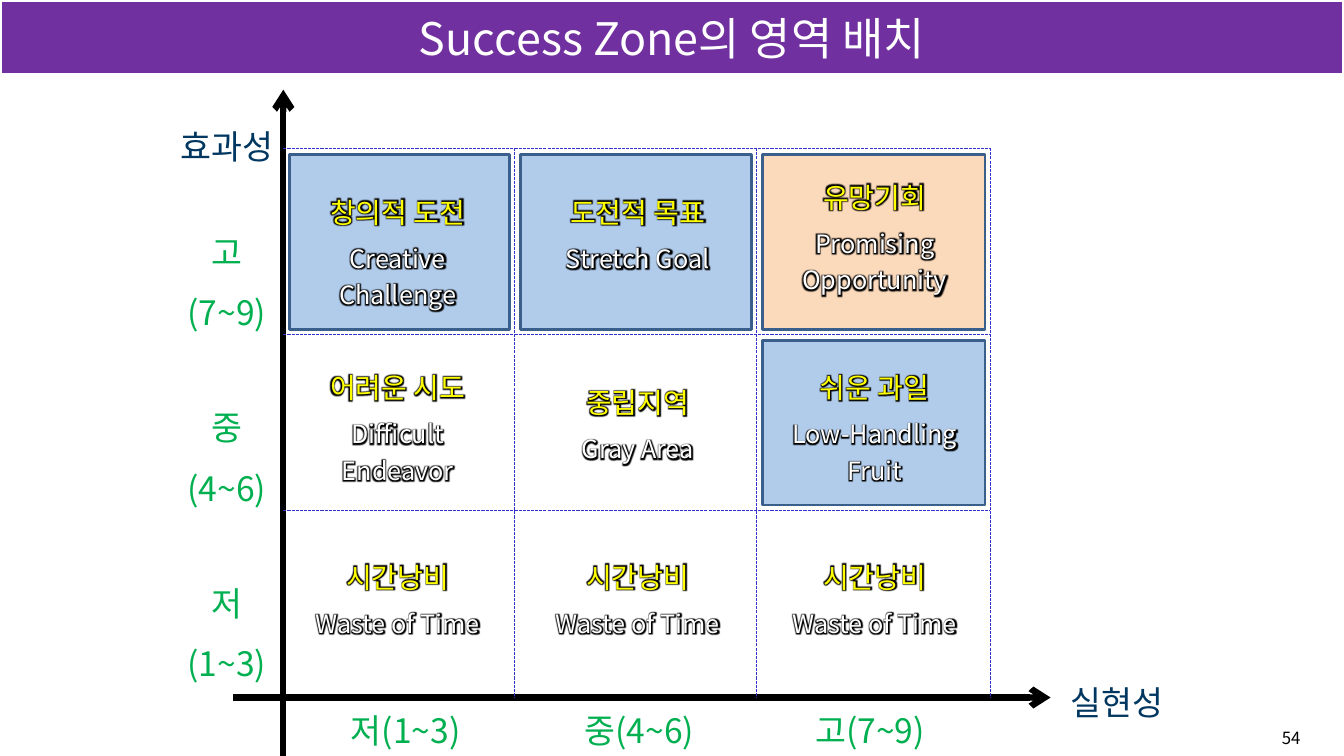
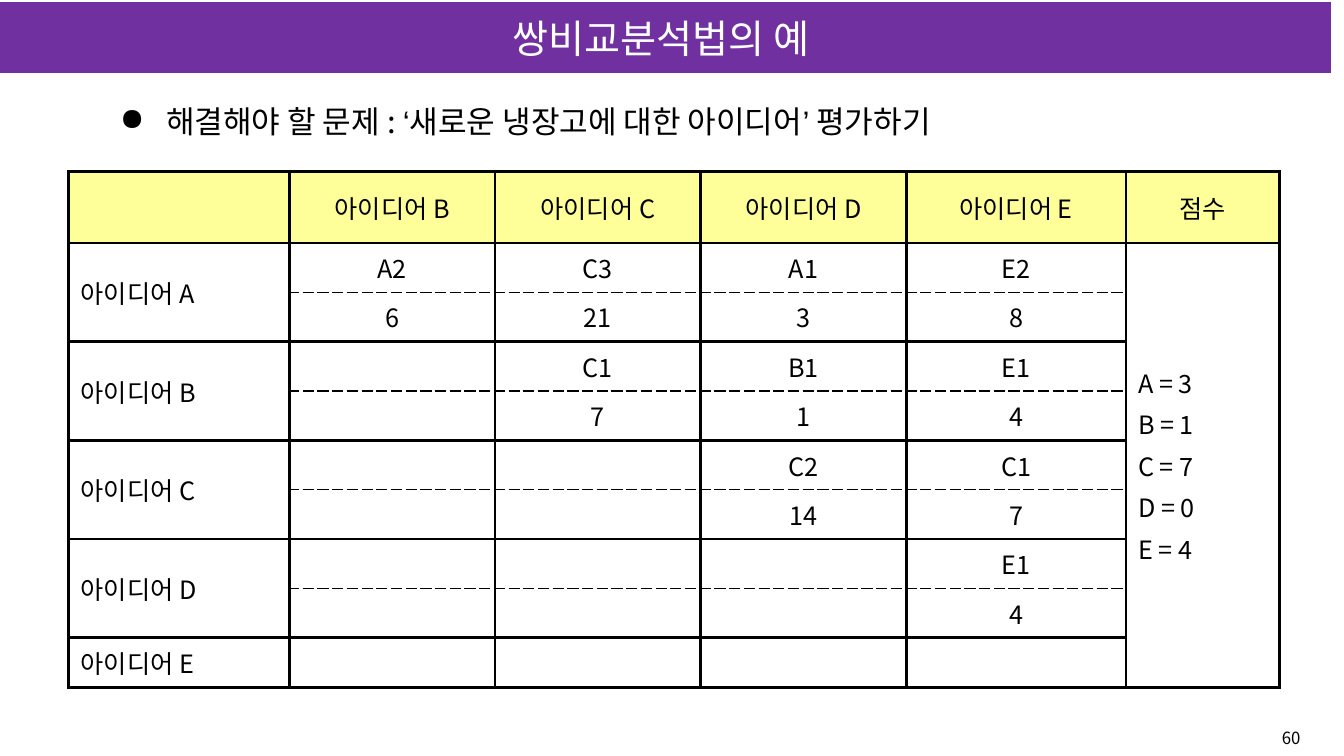
from dataclasses import dataclass
from typing import Any, NamedTuple

import pptx
import pptx.dml.color
import pptx.enum.dml
import pptx.enum.shapes
import pptx.enum.text
import pptx.oxml.ns
import pptx.util
from lxml import etree

SLIDE_WIDTH, SLIDE_HEIGHT = 13.33, 7.5
BODY_FONT = "Noto Sans CJK KR"
BLACK, WHITE, PURPLE, GREEN, NAVY = "000000", "FFFFFF", "7030A0", "00B050", "003760"
YELLOW, BLUE, ORANGE, OUTLINE, GUIDE = "FFFF00", "6598D9", "F9B479", "3A5F8C", "3333CC"
HEADER_FILL = "FFFF99"
ALIGN = pptx.enum.text.PP_ALIGN
MIDDLE = pptx.enum.text.MSO_ANCHOR.MIDDLE
COLUMN_EDGES = (2.81, 5.1, 7.5, 9.82)
ROW_EDGES = (1.47, 3.32, 5.06, 6.92)
LABEL_LEFTS = (2.8, 5.18, 7.53)
CELL_INSET, CELL_GAP = 0.06, 0.11


class Box(NamedTuple):
    left: float
    top: float
    width: float
    height: float


class Point(NamedTuple):
    x: float
    y: float


class TextStyle(NamedTuple):
    size: float
    color: str = BLACK
    font: str = BODY_FONT
    glow: bool = False


@dataclass(frozen=True)
class Zone:
    column: int
    row: int
    text_top: float
    korean: str
    english: str
    fill: str = ""


@dataclass(frozen=True)
class AxisLabel:
    box: Box
    text: str
    color: str = GREEN


ZONES = (
    Zone(0, 0, 1.82, "창의적 도전", "Creative Challenge", BLUE),
    Zone(1, 0, 1.82, "도전적 목표", "Stretch Goal", BLUE),
    Zone(2, 0, 1.67, "유망기회", "Promising\nOpportunity", ORANGE),
    Zone(0, 1, 3.56, "어려운 시도", "Difficult\nEndeavor"),
    Zone(1, 1, 3.71, "중립지역", "Gray Area"),
    Zone(2, 1, 3.56, "쉬운 과일", "Low-Handling\nFruit", BLUE),
    *(Zone(column, 2, 5.44, "시간낭비", "Waste of Time") for column in range(3)),
)
AXIS_LABELS = (
    AxisLabel(Box(1.62, 1, 1.27, 0.71), "효과성", NAVY),
    AxisLabel(Box(9.66, 6.52, 2.83, 0.71), "실현성", NAVY),
    *(AxisLabel(Box(1.71, 2.05 + 1.74 * row, 1.08, 1.31), text)
      for row, text in enumerate(("고\n(7~9)", "중\n(4~6)", "저\n(1~3)"))),
    AxisLabel(Box(2.96, 6.79, 2.13, 0.71), "저(1~3)"),
    AxisLabel(Box(5.15, 6.79, 2.38, 0.71), "중(4~6)"),
    AxisLabel(Box(7.44, 6.79, 2.38, 0.71), "고(7~9)"),
)
TABLE_COLUMNS = (2.19, 2.04, 2.04, 2.04, 2.18, 1.52)
TABLE_ROWS = (0.71,) + (0.49,) * 9
IDEAS = "ABCDE"
SCORES = ("A = 3", "B = 1", "C = 7", "D = 0", "E = 4")
COMPARISONS = {
    "A": (("A2", "6"), ("C3", "21"), ("A1", "3"), ("E2", "8")),
    "B": (("C1", "7"), ("B1", "1"), ("E1", "4")),
    "C": (("C2", "14"), ("C1", "7")),
    "D": (("E1", "4"),),
}


def color_of(value: str) -> Any:
    return pptx.dml.color.RGBColor.from_string(value)


def assign(target: Any, values: dict[str, Any]) -> None:
    for name, value in values.items():
        setattr(target, name, value)


def sub(parent: Any, tag: str, **attributes: str) -> Any:
    return etree.SubElement(parent, pptx.oxml.ns.qn(tag), **attributes)


def inches(values: tuple[float, ...]) -> list[Any]:
    return [pptx.util.Inches(value) for value in values]


def add_run(paragraph: Any, text: str, style: TextStyle) -> None:
    for index, line in enumerate(text.split("\n")):
        if index:
            paragraph.add_line_break()
        run = paragraph.add_run()
        run.text = line
        assign(run.font, {"size": pptx.util.Pt(style.size), "name": style.font})
        run.font.color.rgb = color_of(style.color)
        properties = run._r.get_or_add_rPr()
        sub(properties, "a:ea", typeface=style.font)
        if style.glow:
            effects = sub(properties, "a:effectLst")
            glow = sub(effects, "a:glow", rad=str(pptx.util.Pt(5)))
            sub(glow, "a:srgbClr", val=BLACK)
            properties.find(pptx.oxml.ns.qn("a:solidFill")).addnext(effects)


def write(frame: Any, lines: list[tuple[str, TextStyle]], **formats: Any) -> None:
    space_before = formats.pop("space_before", None)
    for index, (text, style) in enumerate(lines):
        paragraph = frame.add_paragraph() if index else frame.paragraphs[0]
        assign(paragraph, formats)
        if index:
            paragraph.space_before = space_before
        add_run(paragraph, text, style)


def add_text(slide: Any, box: Box, wrap: bool = True) -> Any:
    frame = slide.shapes.add_textbox(*inches(box)).text_frame
    frame.word_wrap = wrap
    return frame


def add_rectangle(slide: Any, box: Box, fill: str, line: str, weight: float, alpha: int = 100) -> Any:
    shape = slide.shapes.add_shape(pptx.enum.shapes.MSO_SHAPE.RECTANGLE, *inches(box))
    shape.shadow.inherit = False
    shape.fill.solid()
    shape.fill.fore_color.rgb = color_of(fill)
    shape.line.color.rgb = color_of(line)
    shape.line.width = pptx.util.Pt(weight)
    if alpha < 100:
        color = shape.fill._xPr.find(".//" + pptx.oxml.ns.qn("a:srgbClr"))
        sub(color, "a:alpha", val=str(alpha * 1000))
    return shape


def add_line(slide: Any, start: Point, end: Point, color: str, weight: float, arrow: bool = False) -> None:
    connector = slide.shapes.add_connector(
        pptx.enum.shapes.MSO_CONNECTOR.STRAIGHT, *inches(start + end))
    connector.line.color.rgb = color_of(color)
    connector.line.width = pptx.util.Pt(weight)
    if arrow:
        sub(connector.line._get_or_add_ln(), "a:tailEnd", type="arrow")
    else:
        connector.line.dash_style = pptx.enum.dml.MSO_LINE.SQUARE_DOT
    sub(connector._element.spPr, "a:effectLst")


def add_base_slide(presentation: Any, title: str, size: float, number: int, left: float = 0) -> Any:
    slide = presentation.slides.add_slide(presentation.slide_layouts[6])
    footer = add_text(slide, Box(12.58, 7.17, 0.45, 0.3), wrap=False)
    write(footer, [(str(number), TextStyle(12))], alignment=ALIGN.CENTER)
    band = Box(left, 0, SLIDE_WIDTH, SLIDE_HEIGHT * 0.1)
    frame = add_rectangle(slide, band, PURPLE, WHITE, 3).text_frame
    assign(frame, {"vertical_anchor": MIDDLE, "word_wrap": True})
    write(frame, [(title, TextStyle(size, WHITE))], alignment=ALIGN.CENTER)
    return slide


def zone_box(column: int, row: int) -> Box:
    left, top = COLUMN_EDGES[column], ROW_EDGES[row]
    return Box(left + CELL_INSET, top + CELL_INSET,
               COLUMN_EDGES[column + 1] - left - CELL_GAP,
               ROW_EDGES[row + 1] - top - CELL_GAP)


def build_zone_slide(presentation: Any) -> None:
    slide = add_base_slide(presentation, "Success Zone의 영역 배치", 32, 54)
    left, right = COLUMN_EDGES[0], COLUMN_EDGES[-1]
    top, bottom = ROW_EDGES[0], ROW_EDGES[-1]
    for zone in ZONES:
        if zone.fill:
            add_rectangle(slide, zone_box(zone.column, zone.row), zone.fill, OUTLINE, 2, alpha=50)
    add_line(slide, Point(2.31, bottom), Point(10.42, bottom), BLACK, 4.5, arrow=True)
    add_line(slide, Point(left, SLIDE_HEIGHT), Point(left, 0.89), BLACK, 4.5, arrow=True)
    for y in ROW_EDGES[:-1]:
        add_line(slide, Point(left, y), Point(right, y), GUIDE, 0.75)
    for x in COLUMN_EDGES[1:]:
        add_line(slide, Point(x, top), Point(x, bottom), GUIDE, 0.75)
    for label in AXIS_LABELS:
        write(add_text(slide, label.box), [(label.text, TextStyle(24, label.color))],
              alignment=ALIGN.CENTER, line_spacing=1.5)
    for zone in ZONES:
        frame = add_text(slide, Box(LABEL_LEFTS[zone.column], zone.text_top, 2.29, 1.32))
        write(frame, [(zone.korean, TextStyle(20, YELLOW, glow=True)),
                      (zone.english, TextStyle(18, WHITE, glow=True))],
              alignment=ALIGN.CENTER, line_spacing=1.2, space_before=pptx.util.Pt(6))


def set_borders(cell: Any, dashed_side: str) -> None:
    properties = cell._tc.get_or_add_tcPr()
    for index, side in enumerate(("lnL", "lnR", "lnT", "lnB")):
        dashed = side == dashed_side
        line = etree.Element(pptx.oxml.ns.qn(f"a:{side}"), w=str(pptx.util.Pt(1 if dashed else 2.25)))
        sub(sub(line, "a:solidFill"), "a:srgbClr", val=BLACK)
        sub(line, "a:prstDash", val="sysDash" if dashed else "solid")
        properties.insert(index, line)


def comparison_texts() -> dict[tuple[int, int], list[str]]:
    texts = {(0, column): [f"아이디어 {idea}"] for column, idea in enumerate(IDEAS[1:], 1)}
    texts |= {(0, 5): ["점수"], (1, 5): list(SCORES)}
    for index, idea in enumerate(IDEAS):
        row = 1 + 2 * index
        texts[row, 0] = [f"아이디어 {idea}"]
        for column, pair in enumerate(COMPARISONS.get(idea, ()), index + 1):
            for offset, value in enumerate(pair):
                texts[row + offset, column] = [value]
    return texts


def add_comparison_table(slide: Any) -> None:
    box = Box(0.68, 1.7, sum(TABLE_COLUMNS), sum(TABLE_ROWS))
    table = slide.shapes.add_table(len(TABLE_ROWS), len(TABLE_COLUMNS), *inches(box)).table
    assign(table, {"first_row": False, "horz_banding": False})
    for column, width in zip(table.columns, inches(TABLE_COLUMNS)):
        column.width = width
    for row, height in zip(table.rows, inches(TABLE_ROWS)):
        row.height = height
    for row in range(1, 9, 2):
        table.cell(row, 0).merge(table.cell(row + 1, 0))
    table.cell(1, 5).merge(table.cell(9, 5))
    margin = pptx.util.Inches(0.12)
    texts = comparison_texts()
    for row in range(len(TABLE_ROWS)):
        for column in range(len(TABLE_COLUMNS)):
            cell = table.cell(row, column)
            assign(cell, {"vertical_anchor": MIDDLE, "margin_left": margin, "margin_right": margin})
            if row:
                cell.fill.background()
            else:
                cell.fill.solid()
                cell.fill.fore_color.rgb = color_of(HEADER_FILL)
            split = 1 <= row <= 8 and 1 <= column <= 4
            set_borders(cell, ("lnB" if row % 2 else "lnT") if split else "")
            centred = row == 0 or 1 <= column <= 4
            lines = [(text, TextStyle(18)) for text in texts.get((row, column), [])]
            write(cell.text_frame, lines, space_before=pptx.util.Pt(3.6),
                  alignment=ALIGN.CENTER if centred else ALIGN.LEFT)


def build_comparison_slide(presentation: Any) -> None:
    slide = add_base_slide(presentation, "쌍비교분석법의 예", 28, 60, left=-0.11)
    add_comparison_table(slide)
    paragraph = add_text(slide, Box(0.37, 0.97, 9.68, 0.55)).paragraphs[0]
    paragraph.alignment = ALIGN.CENTER
    properties = paragraph._p.get_or_add_pPr()
    indent = pptx.util.Inches(0.46)
    properties.set("marL", str(indent))
    properties.set("indent", str(-indent))
    sub(properties, "a:buChar", char="●")
    for text, font in (("해결해야 할 문제 : ", BODY_FONT), ("‘", "Arial"),
                       ("새로운 냉장고에 대한 아이디어", BODY_FONT), ("’", "Arial"),
                       (" 평가하기", BODY_FONT)):
        add_run(paragraph, text, TextStyle(22.2, font=font))


def main() -> None:
    presentation = pptx.Presentation()
    assign(presentation, {"slide_width": pptx.util.Inches(SLIDE_WIDTH),
                          "slide_height": pptx.util.Inches(SLIDE_HEIGHT)})
    build_zone_slide(presentation)
    build_comparison_slide(presentation)
    presentation.save("out.pptx")


if __name__ == "__main__":
    main()
